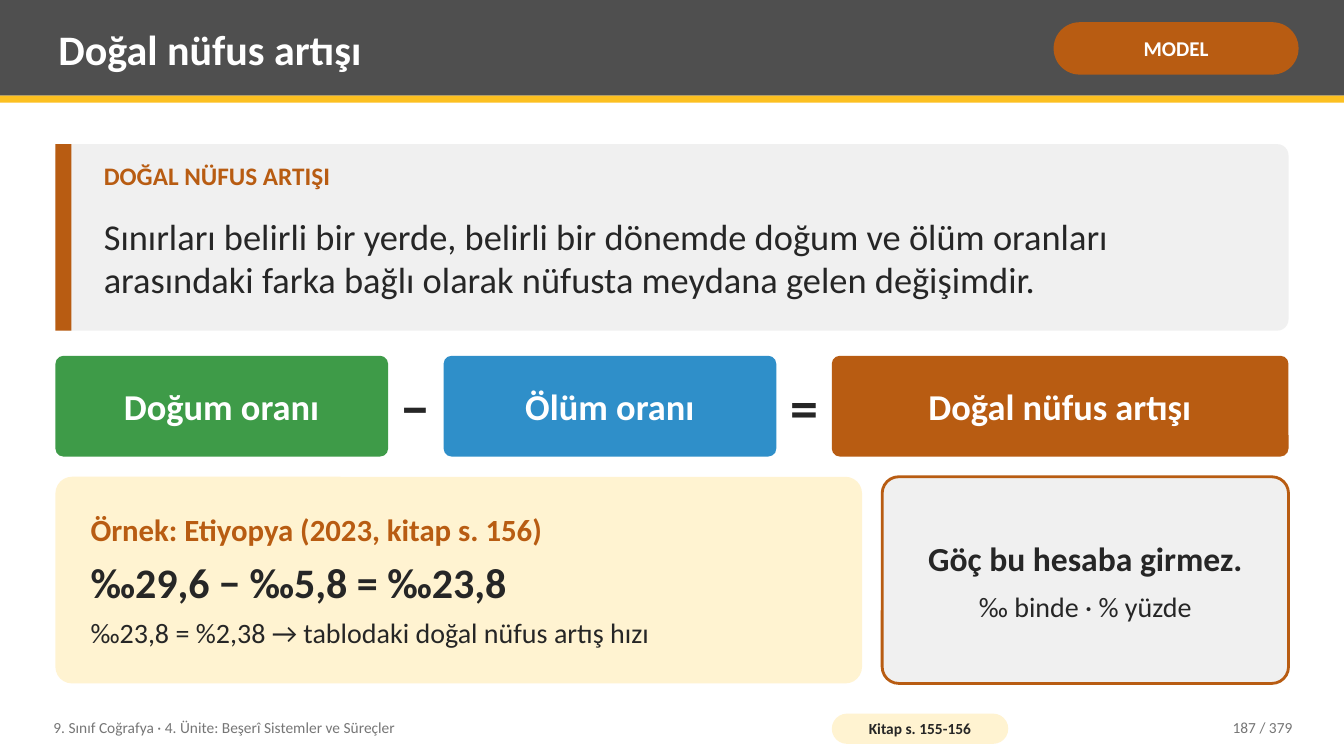
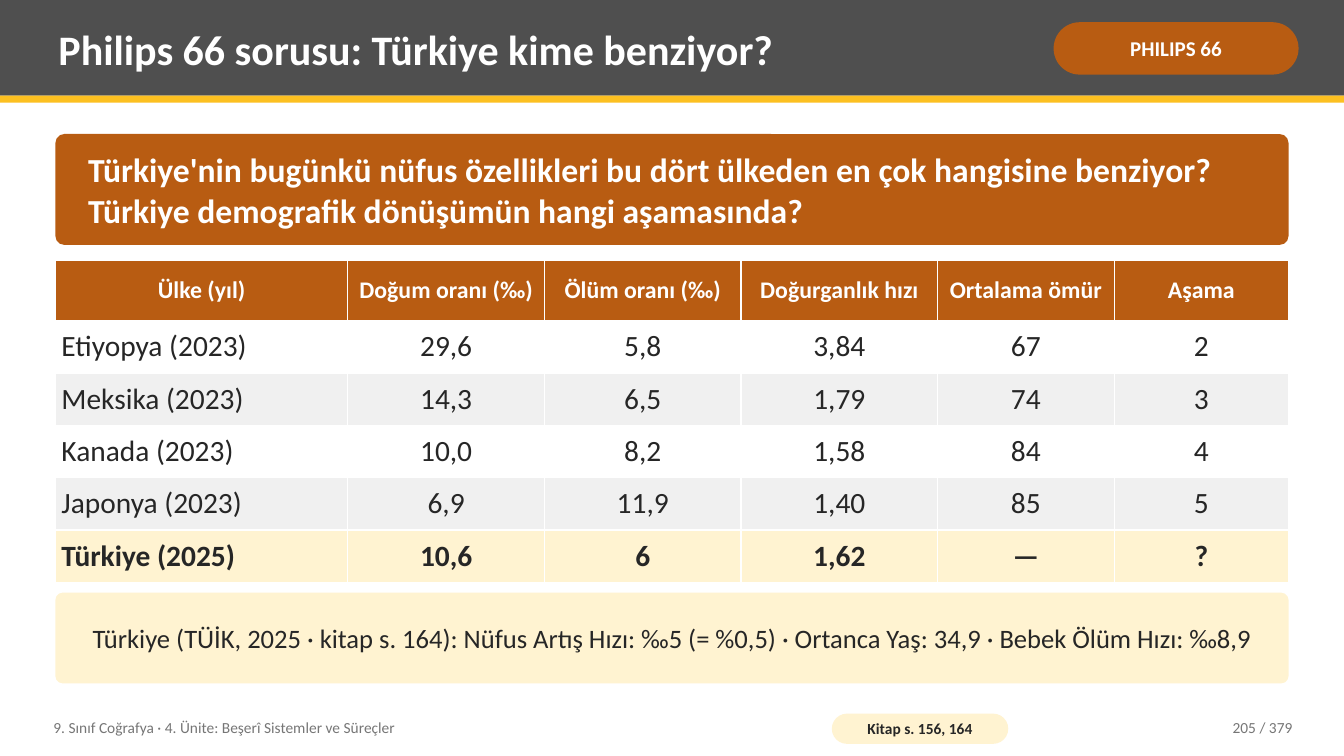
from lxml.etree import SubElement
from pptx import Presentation
from pptx.dml.color import RGBColor as RGB
from pptx.enum.shapes import MSO_SHAPE as Shape
from pptx.enum.text import MSO_ANCHOR as Anchor, PP_ALIGN as Align
from pptx.oxml.ns import qn
from pptx.util import Inches, Pt

FONT = "Calibri"
DARK = RGB(0x4F, 0x4F, 0x4F)
GOLD = RGB(0xFC, 0xC0, 0x21)
RUST = RGB(0xB8, 0x5C, 0x12)
PALE = RGB(0xF0, 0xF0, 0xF0)
CREAM = RGB(0xFF, 0xF3, 0xD1)
GREEN = RGB(0x3E, 0x9B, 0x48)
BLUE = RGB(0x2F, 0x8F, 0xC9)
INK = RGB(0x26, 0x26, 0x26)
GRAY = RGB(0x76, 0x76, 0x76)
WHITE = RGB(0xFF, 0xFF, 0xFF)

WIDTH, HEIGHT = 13.33, 7.5
LEFT, SPAN = 0.55, 12.23
TOTAL = 379
COURSE = "9. Sınıf Coğrafya · 4. Ünite: Beşerî Sistemler ve Süreçler"

HEADS = ["Ülke (yıl)", "Doğum oranı (‰)", "Ölüm oranı (‰)",
         "Doğurganlık hızı", "Ortalama ömür", "Aşama"]
ROWS = [
    ["Etiyopya (2023)", "29,6", "5,8", "3,84", "67", "2"],
    ["Meksika (2023)", "14,3", "6,5", "1,79", "74", "3"],
    ["Kanada (2023)", "10,0", "8,2", "1,58", "84", "4"],
    ["Japonya (2023)", "6,9", "11,9", "1,40", "85", "5"],
    ["Türkiye (2025)", "10,6", "6", "1,62", "—", "?"],
]
COLS = [2.9, 1.95, 1.95, 1.95, 1.75, 1.73]


def write(frame, text, size=20, color=INK, bold=False, align=Align.LEFT, after=0):
    """Add one paragraph, using the empty first one if there is one."""
    para = frame.add_paragraph() if frame.text else frame.paragraphs[0]
    para.alignment = align
    para.space_after = Pt(after)
    run = para.add_run()
    run.text = text
    font = run.font
    font.name, font.size, font.bold = FONT, Pt(size), bold
    font.color.rgb = color


def inset(item, side, top):
    """Set the margins of a text frame or a table cell."""
    item.margin_left = item.margin_right = Inches(side)
    item.margin_top = item.margin_bottom = Inches(top)
    item.vertical_anchor = Anchor.MIDDLE


def block(slide, x, y, w, h, fill, adj=None, edge=None, side=0.14, top=0.08):
    """Draw a filled box, rounded if adj is given, and return its text frame."""
    kind = Shape.RECTANGLE if adj is None else Shape.ROUNDED_RECTANGLE
    shape = slide.shapes.add_shape(kind, *map(Inches, (x, y, w, h)))
    shape.shadow.inherit = False
    if adj is not None:
        shape.adjustments[0] = adj
    shape.fill.solid()
    shape.fill.fore_color.rgb = fill
    if edge is None:
        shape.line.fill.background()
    else:
        shape.line.color.rgb = edge
        shape.line.width = Pt(2)
    frame = shape.text_frame
    frame.word_wrap = True
    inset(frame, side, top)
    return frame


def label(slide, x, y, w, h, text, anchor=Anchor.MIDDLE, **style):
    frame = slide.shapes.add_textbox(*map(Inches, (x, y, w, h))).text_frame
    frame.word_wrap = True
    inset(frame, 0.08, 0.04)
    frame.vertical_anchor = anchor
    write(frame, text, **style)


def header(slide, title, tag):
    block(slide, 0, 0, WIDTH, 0.95, DARK)
    block(slide, 0, 0.95, WIDTH, 0.07, GOLD)
    label(slide, 0.5, 0.07, 9.75, 0.82, title, size=30, color=WHITE, bold=True)
    pill = block(slide, 10.45, 0.22, 2.43, 0.52, RUST, 0.5, side=0.05, top=0.02)
    write(pill, tag, size=15, color=WHITE, bold=True, align=Align.CENTER)


def footer(slide, pages, number):
    y = 7.04
    label(slide, 0.45, y, 7.6, 0.36, COURSE, size=11, color=GRAY)
    pill = block(slide, 8.25, y + 0.04, 1.75, 0.3, CREAM, 0.5, side=0.04, top=0)
    write(pill, f"Kitap s. {pages}", size=11, bold=True, align=Align.CENTER)
    label(slide, 11.3, y, 1.6, 0.36, f"{number} / {TOTAL}",
          size=11, color=GRAY, align=Align.RIGHT)


def define(slide, x, y, w, h, term, text):
    """Place a definition panel with a bar on its left edge."""
    block(slide, x, y, w, h, PALE, 0.06)
    block(slide, x, y, 0.16, h, RUST)
    label(slide, x + 0.4, y + 0.12, w - 0.6, 0.45, term, anchor=Anchor.TOP,
          size=18, color=RUST, bold=True)
    label(slide, x + 0.4, y + 0.55, w - 0.6, h - 0.7, text, size=26)


def formula(slide, x, y, w, h):
    """Place two terms and a result, which takes the width that is left."""
    term, gap = 3.3, 0.55
    last = w - 2 * (term + gap)
    parts = [("Doğum oranı", GREEN, term, "−"), ("Ölüm oranı", BLUE, term, "="),
             ("Doğal nüfus artışı", RUST, last, None)]
    for text, fill, wide, sign in parts:
        frame = block(slide, x, y, wide, h, fill, 0.08)
        write(frame, text, size=26, color=WHITE, bold=True, align=Align.CENTER)
        x += wide
        if sign:
            label(slide, x, y, gap, h, sign, size=40, bold=True, align=Align.CENTER)
            x += gap


def sample(slide, x, y, w, h):
    frame = block(slide, x, y, w, h, CREAM, 0.08, side=0.3)
    write(frame, "Örnek: Etiyopya (2023, kitap s. 156)",
          size=22, color=RUST, bold=True, after=6)
    write(frame, "‰29,6 − ‰5,8 = ‰23,8", size=30, bold=True, after=6)
    write(frame, "‰23,8 = %2,38 → tablodaki doğal nüfus artış hızı")


def remark(slide, x, y, w, h):
    frame = block(slide, x, y, w, h, PALE, 0.08, edge=RUST)
    write(frame, "Göç bu hesaba girmez.", size=24, bold=True,
          align=Align.CENTER, after=8)
    write(frame, "‰ binde · % yüzde", align=Align.CENTER)


def border(cell):
    props = cell._tc.get_or_add_tcPr()
    for side in ("a:lnL", "a:lnR", "a:lnT", "a:lnB"):
        line = SubElement(props, qn(side), w=str(Pt(0.96)))
        paint = SubElement(line, qn("a:solidFill"))
        SubElement(paint, qn("a:srgbClr"), val=str(WHITE))


def grid(slide, x, y, head=0.6, row=0.52):
    """Place the country table; the last row stands out."""
    count = len(ROWS) + 1
    high = head + row * len(ROWS)
    table = slide.shapes.add_table(
        count, len(COLS), *map(Inches, (x, y, sum(COLS), high))).table
    for col, wide in zip(table.columns, COLS):
        col.width = Inches(wide)
    for r, texts in enumerate([HEADS] + ROWS):
        table.rows[r].height = Inches(row if r else head)
        if r == 0:
            fill, style = RUST, dict(size=17, color=WHITE, bold=True)
        elif r == count - 1:
            fill, style = CREAM, dict(size=21, bold=True)
        else:
            fill, style = (WHITE if r % 2 else PALE), dict(size=21)
        for c, text in enumerate(texts):
            cell = table.cell(r, c)
            border(cell)
            cell.fill.solid()
            cell.fill.fore_color.rgb = fill
            inset(cell, 0.06, 0.05)
            align = Align.LEFT if r and c == 0 else Align.CENTER
            write(cell.text_frame, text, align=align, **style)


def model(slide):
    header(slide, "Doğal nüfus artışı", "MODEL")
    define(slide, LEFT, 1.43, SPAN, 1.85, "DOĞAL NÜFUS ARTIŞI",
           "Sınırları belirli bir yerde, belirli bir dönemde doğum ve ölüm "
           "oranları arasındaki farka bağlı olarak nüfusta meydana gelen "
           "değişimdir.")
    formula(slide, LEFT, 3.53, SPAN, 1)
    wide, gap = 8, 0.2
    sample(slide, LEFT, 4.73, wide, 2.05)
    remark(slide, LEFT + wide + gap, 4.73, SPAN - wide - gap, 2.05)
    footer(slide, "155-156", 187)


def debate(slide):
    header(slide, "Philips 66 sorusu: Türkiye kime benziyor?", "PHILIPS 66")
    ask = block(slide, LEFT, 1.33, SPAN, 1.1, RUST, 0.08, side=0.3)
    write(ask, "Türkiye'nin bugünkü nüfus özellikleri bu dört ülkeden en çok "
          "hangisine benziyor? Türkiye demografik dönüşümün hangi aşamasında?",
          size=24, color=WHITE, bold=True)
    grid(slide, LEFT, 2.58)
    facts = block(slide, LEFT, 5.88, SPAN, 0.9, CREAM, 0.08, side=0.2)
    write(facts, "Türkiye (TÜİK, 2025 · kitap s. 164): Nüfus Artış Hızı: ‰5 "
          "(= %0,5) · Ortanca Yaş: 34,9 · Bebek Ölüm Hızı: ‰8,9",
          size=19, align=Align.CENTER)
    footer(slide, "156, 164", 205)


def main():
    deck = Presentation()
    deck.slide_width, deck.slide_height = Inches(WIDTH), Inches(HEIGHT)
    for build in (model, debate):
        build(deck.slides.add_slide(deck.slide_layouts[6]))
    deck.save("out.pptx")


if __name__ == "__main__":
    main()
